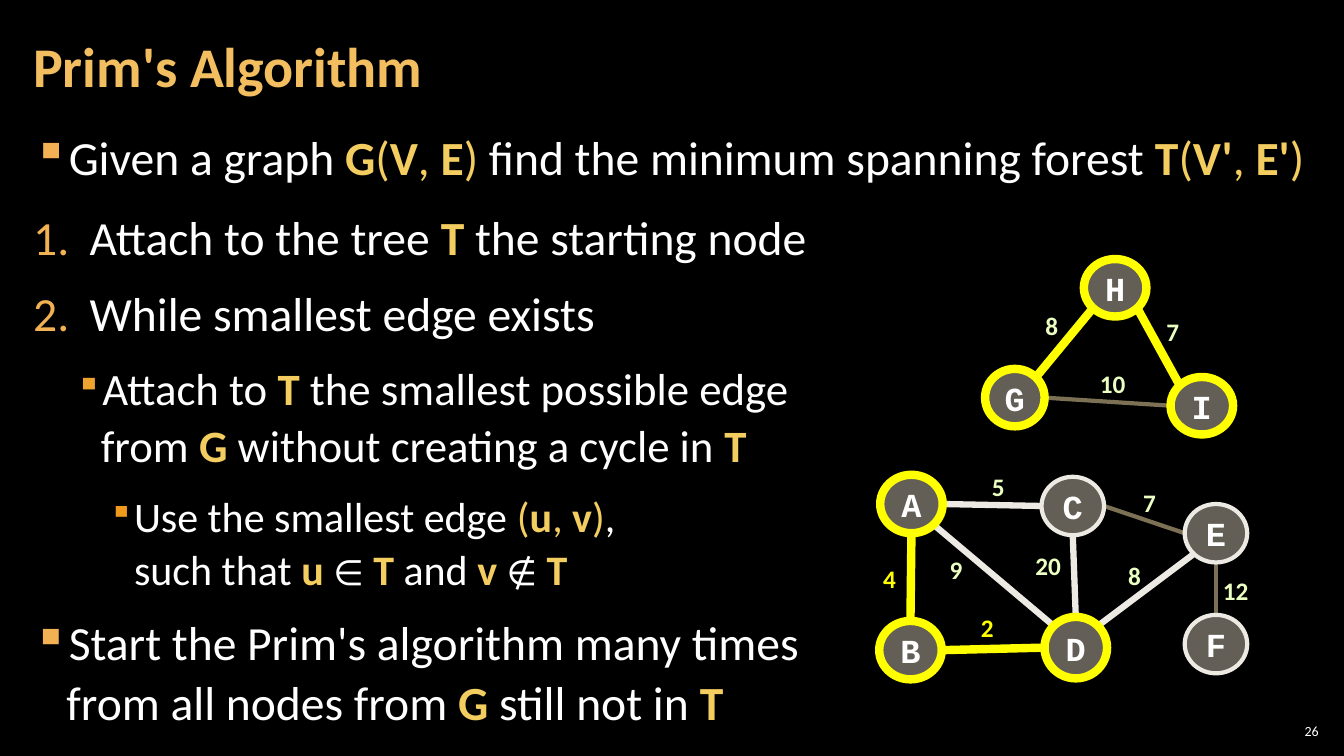
from itertools import groupby
from math import cos, radians, sin

from lxml import etree
from pptx import Presentation
from pptx import util as u
from pptx.dml.color import RGBColor
from pptx.enum import shapes, text
from pptx.oxml.ns import qn

WHITE, GOLD, YELLOW = "FFFFFF", "F3CD60", "FFFF00"
PALE, LIGHT, DIM = "EBFFC2", "ECEAE3", "7C7154"

# Line colour and width of each kind of edge
EDGE_STYLES = {"tree": (YELLOW, 6), "candidate": (LIGHT, 4.5), "rejected": (DIM, 3)}

# Compass points on a node's rim, in degrees clockwise from east
RIM = {point: 45 * i for i, point in enumerate(["E", "SE", "S", "SW", "W", "NW", "N", "NE"])}


def rgb(value):
    return RGBColor.from_string(value)


def add_xml(parent, tag, **attributes):
    return etree.SubElement(parent, qn(tag), attributes)


class GraphSlide:
    font = "Calibri"
    node_font = "Courier New"

    def __init__(self, presentation):
        self.slide = presentation.slides.add_slide(presentation.slide_layouts[6])
        self.slide.background.fill.solid()
        self.slide.background.fill.fore_color.rgb = rgb("000000")

    def format(self, run, size, color, bold=False, font=None):
        run.font.name = font or self.font
        run.font.size = u.Pt(size)
        run.font.bold = bold
        run.font.color.rgb = rgb(color)

    def frame(self, left, top, width, height, inset=None, wrap=True):
        box = self.slide.shapes.add_textbox(*map(u.Inches, (left, top, width, height)))
        frame = box.text_frame
        frame.word_wrap = wrap
        if inset:
            frame.margin_left = frame.margin_right = u.Inches(inset)
            frame.margin_top = frame.margin_bottom = u.Inches(0.04)
        return frame

    def line_of_text(self, words, place, size, color, bold=False, inset=0.12,
                     align=text.PP_ALIGN.LEFT):
        frame = self.frame(*place, inset=inset)
        frame.vertical_anchor = text.MSO_ANCHOR.MIDDLE
        frame.text = words
        paragraph = frame.paragraphs[0]
        paragraph.alignment = align
        self.format(paragraph.runs[0], size, color, bold)

    def outline(self, place, items):
        frame = self.frame(*place, inset=0.12)
        for i, item in enumerate(items):
            paragraph = frame.add_paragraph() if i else frame.paragraphs[0]
            self.list_item(paragraph, *item)
            paragraph.line_spacing = 1.05
            paragraph.space_after = u.Pt(6)
            if i:
                paragraph.space_before = u.Pt(6)

    def list_item(self, paragraph, level, numbered, words):
        size = (34, 32, 30)[level]
        indent, hanging = [(0.33, 0.33), (0.67, 0.25), (1, 0.25)][level]
        if numbered:
            indent = hanging = 0.56
        paragraph.level = level
        properties = paragraph._p.get_or_add_pPr()
        properties.set("marL", str(u.Inches(indent)))
        properties.set("indent", str(-u.Inches(hanging)))
        bullet_color = add_xml(properties, "a:buClr")
        add_xml(bullet_color, "a:srgbClr", val=("F2B254", "F0A22E", "EF9A1D")[level])
        if level:
            add_xml(properties, "a:buSzPct", val="80000")
        if numbered:
            add_xml(properties, "a:buAutoNum", type="arabicPeriod")
        else:
            add_xml(properties, "a:buChar", char="▪")
        self.rich_text(paragraph, words, size)

    def rich_text(self, paragraph, words, size):
        """Text between bars is gold: names bold, punctuation regular."""
        for i, part in enumerate(words.split("|")):
            gold = i % 2 == 1
            special = "(), " if gold else "∈∉\n"
            for is_special, chars in groupby(part, lambda ch: ch in special):
                piece = "".join(chars)
                if piece == "\n":
                    paragraph.add_line_break()
                    continue
                run = paragraph.add_run()
                run.text = piece
                symbol = is_special and not gold
                self.format(run, 25 if symbol else size, GOLD if gold else WHITE,
                            gold and not is_special)

    def edge(self, start, end, style):
        line = self.slide.shapes.add_connector(
            shapes.MSO_CONNECTOR.STRAIGHT, *map(u.Inches, (*start, *end)))
        color, width = EDGE_STYLES[style]
        line.line.color.rgb = rgb(color)
        line.line.width = u.Pt(width)
        add_xml(line._element.spPr, "a:effectLst")

    def weight(self, words, left, top, color):
        width = 0.33 if len(words) == 1 else 0.46
        frame = self.frame(left, top, width, 0.4, wrap=False)
        frame.auto_size = text.MSO_AUTO_SIZE.SHAPE_TO_FIT_TEXT
        frame.text = words
        self.format(frame.paragraphs[0].runs[0], 18, color, True)

    def node(self, name, place, in_tree):
        circle = self.slide.shapes.add_shape(
            shapes.MSO_SHAPE.OVAL, *map(u.Inches, place))
        circle.shadow.inherit = False
        circle.fill.solid()
        circle.fill.fore_color.rgb = rgb("C7BFAC")
        fill_color = circle._element.spPr.find(".//" + qn("a:srgbClr"))
        add_xml(fill_color, "a:alpha", val="50000")
        circle.line.color.rgb = rgb(YELLOW if in_tree else LIGHT)
        circle.line.width = u.Pt(6 if in_tree else 3)
        frame = circle.text_frame
        frame.word_wrap = False
        frame.vertical_anchor = text.MSO_ANCHOR.MIDDLE
        frame.text = name
        frame.paragraphs[0].alignment = text.PP_ALIGN.CENTER
        self.format(frame.paragraphs[0].runs[0], 24, WHITE, True, self.node_font)


def rim_point(place, point):
    left, top, width, height = place
    angle = radians(RIM[point])
    return left + width / 2 * (1 + cos(angle)), top + height / 2 * (1 + sin(angle))


# Node: place, whether it is in the tree
NODES = {
    "A": ((8.73, 4.71, 0.62, 0.58), True),
    "B": ((8.72, 6.16, 0.62, 0.58), True),
    "C": ((10.33, 4.73, 0.62, 0.58), False),
    "D": ((10.36, 6.12, 0.62, 0.61), True),
    "E": ((11.75, 5, 0.62, 0.58), False),
    "F": ((11.75, 6.1, 0.62, 0.58), False),
    "G": ((9.77, 3.66, 0.59, 0.57), True),
    "H": ((10.75, 2.57, 0.62, 0.57), True),
    "I": ((11.61, 3.74, 0.62, 0.57), True),
}

# Edge: from node and rim point, to node and rim point, style, weight and its place
EDGES = [
    ("D", "NE", "E", "SW", "candidate", "8", 11.09, 5.51, PALE),
    ("D", "N", "C", "S", "candidate", "20", 10.17, 5.41, PALE),
    ("F", "N", "E", "S", "rejected", "12", 12.03, 5.66, PALE),
    ("D", "W", "B", "E", "tree", "2", 9.63, 6.03, YELLOW),
    ("D", "NW", "A", "SE", "candidate", "9", 9.32, 5.45, PALE),
    ("C", "E", "E", "W", "rejected", "7", 11.24, 4.79, PALE),
    ("B", "N", "A", "S", "tree", "4", 8.66, 5.54, YELLOW),
    ("A", "E", "C", "W", "candidate", "5", 9.74, 4.63, PALE),
    ("G", "E", "I", "W", "rejected", "10", 10.81, 3.6, PALE),
    ("G", "NE", "H", "SW", "tree", "8", 10.27, 3.03, PALE),
    ("I", "NW", "H", "SE", "tree", "7", 11.47, 3.09, PALE),
]

# Outline: level, numbered, words
GOAL = [(0, False, "Given a graph |G(V, E)| find the minimum spanning forest |T(V', E')|")]
STEPS = [
    (0, True, "Attach to the tree |T| the starting node"),
    (0, True, "While smallest edge exists"),
    (1, False, "Attach to |T| the smallest possible edge\n"
               "from |G| without creating a cycle in |T|"),
    (2, False, "Use the smallest edge |(u, v)|,\nsuch that |u| ∈ |T| and |v| ∉ |T|"),
    (0, False, "Start the Prim's algorithm many times\nfrom all nodes from |G| still not in |T|"),
]


def main():
    presentation = Presentation()
    presentation.slide_width = u.Inches(13.33)
    presentation.slide_height = u.Inches(7.5)
    page = GraphSlide(presentation)

    # Title, page number and outline
    page.line_of_text("26", (12.65, 7.14, 0.47, 0.22), 10, WHITE, inset=0.04,
                      align=text.PP_ALIGN.RIGHT)
    page.line_of_text("Prim's Algorithm", (0.21, 0.04, 10.47, 1.21), 40, "F3BE60", True)
    page.outline((0.21, 1.2, 12.91, 0.77), GOAL)
    page.outline((0.21, 1.99, 9.54, 5.35), STEPS)

    # Graph
    for start, leave, end, enter, style, *label in EDGES:
        page.edge(rim_point(NODES[start][0], leave), rim_point(NODES[end][0], enter), style)
        page.weight(*label)
    for name, (place, in_tree) in NODES.items():
        page.node(name, place, in_tree)

    presentation.save("out.pptx")


if __name__ == "__main__":
    main()
